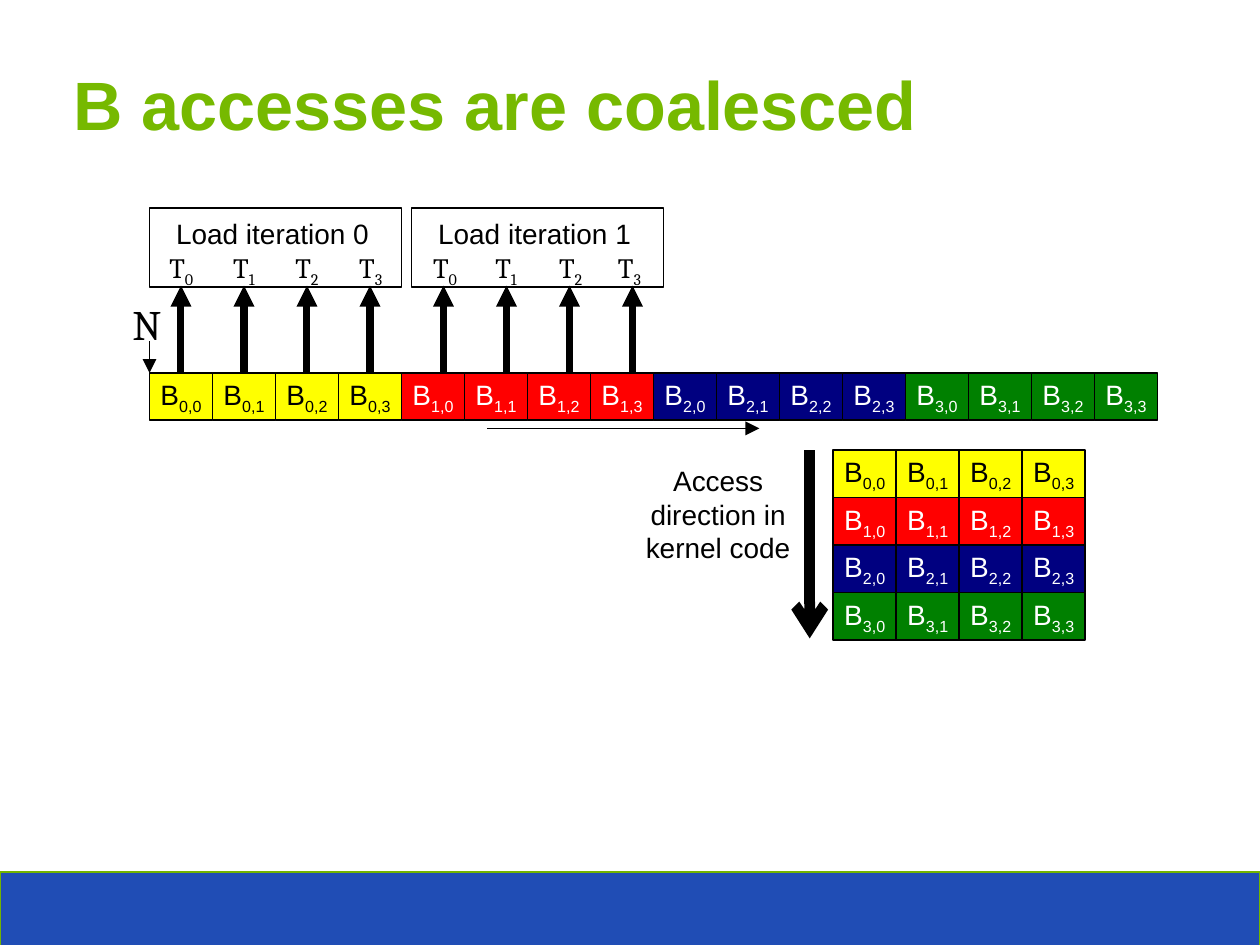
from dataclasses import dataclass

from lxml.etree import SubElement
from pptx import Presentation
from pptx.dml.color import RGBColor as RGB
from pptx.enum.shapes import MSO_CONNECTOR as LINE, MSO_SHAPE as SHAPE
from pptx.enum.text import MSO_ANCHOR as ANCHOR, PP_ALIGN as ALIGN
from pptx.oxml.ns import qn
from pptx.util import Inches, Pt


@dataclass(frozen=True)
class Theme:
    sans: str = "Arial"
    serif: str = "Cambria"
    title: float = 29.25
    mark: float = 18
    body: float = 12
    thin: float = 0.75
    thick: float = 3
    heavy: float = 4.5
    black: str = "000000"
    white: str = "FFFFFF"
    lime: str = "76B900"
    edge: str = "72B400"
    blue: str = "204DB5"
    rows: tuple = ("FFFF00", "FF0000", "000080", "008000")


theme = Theme()
wide = 7.5
deck = Presentation()
deck.slide_width, deck.slide_height = Inches(wide), Inches(wide * 3 / 4)
slide = deck.slides.add_slide(deck.slide_layouts[6])
shapes = slide.shapes


def write(frame, text, sub="", font=theme.sans, size=theme.body,
          color=theme.black, wrap=False, align=ALIGN.LEFT):
    """Fill a text frame with text and an optional subscript."""
    frame.word_wrap = wrap
    para = frame.paragraphs[0]
    para.alignment = align
    para.font.name, para.font.size = font, Pt(size)
    para.font.color.rgb = RGB.from_string(color)
    para.add_run().text = text
    if sub:
        run = para.add_run()
        run.text = sub
        run._r.get_or_add_rPr().set("baseline", "-25000")
    return para


def stroke(shape, width, color=theme.black, head=""):
    """Set a line's look, with an arrowhead at its end if one is named."""
    shape.line.color.rgb = RGB.from_string(color)
    shape.line.width = Pt(width)
    if head:
        SubElement(shape.line._get_or_add_ln(), qn("a:tailEnd"), type=head)
        SubElement(shape._element.spPr, qn("a:effectLst"))
    else:
        shape.shadow.inherit = False


# Footer and title
bar = shapes.add_shape(SHAPE.RECTANGLE, 0, Inches(5.19), Inches(wide), Inches(0.44))
bar.fill.solid()
bar.fill.fore_color.rgb = RGB.from_string(theme.blue)
stroke(bar, theme.thin, theme.edge)

title = shapes.add_textbox(Inches(0.34), Inches(0.32), Inches(6.82), Inches(0.48))
write(title.text_frame, "B accesses are coalesced", size=theme.title,
      color=theme.lime, wrap=True).font.bold = True

# Matrix B: laid out in memory as one row, and as a square
size, cell_w, cell_h = 4, 1.5 / 4, 1.13 / 4
row_x, row_y = 0.89, 2.22
grid_x, grid_y = 4.96, 2.68
memory = []
for r, fill in enumerate(theme.rows):
    for c in range(size):
        spots = ((row_x + (r * size + c) * cell_w, row_y),
                 (grid_x + c * cell_w, grid_y + r * cell_h))
        for x, y in spots:
            cell = shapes.add_shape(SHAPE.RECTANGLE, Inches(x), Inches(y),
                                    Inches(cell_w), Inches(cell_h))
            cell.fill.solid()
            cell.fill.fore_color.rgb = RGB.from_string(fill)
            stroke(cell, theme.thin)
            frame = cell.text_frame
            frame.vertical_anchor = ANCHOR.MIDDLE
            write(frame, "B", f"{r},{c}", align=ALIGN.CENTER,
                  color=theme.white if r else theme.black)
            if y == row_y:
                memory.append(cell)

# Load iterations: box left, first arrow, thread labels
loads = (
    (0.89, row_x + cell_w / 2, (0.91, 1.29, 1.66, 2.04)),
    (2.45, 2.64, (2.48, 2.85, 3.23, 3.58)),
)
for n, (left, first, tags) in enumerate(loads):
    box = shapes.add_shape(SHAPE.RECTANGLE, Inches(left), Inches(1.24),
                           Inches(1.5), Inches(0.47))
    box.fill.background()
    stroke(box, theme.thin)
    name = shapes.add_textbox(Inches(left + 0.06), Inches(1.24),
                              Inches(1.36), Inches(0.3))
    write(name.text_frame, f"Load iteration {n}")
    for t, tag_x in enumerate(tags):
        tag = shapes.add_textbox(Inches(tag_x), Inches(1.44),
                                 Inches(0.36), Inches(0.3))
        write(tag.text_frame, "T", str(t), font=theme.serif)
        x = Inches(first + t * cell_w)
        arrow = shapes.add_connector(LINE.STRAIGHT, x, Inches(row_y), x, Inches(1.7))
        stroke(arrow, theme.thick, head="triangle")
        if n == 0:
            arrow.begin_connect(memory[t], 0)

# Pointer N and access directions
mark = shapes.add_textbox(Inches(0.69), Inches(1.73), Inches(0.38), Inches(0.4))
write(mark.text_frame, "N", font=theme.serif, size=theme.mark)
note = shapes.add_textbox(Inches(3.65), Inches(2.71), Inches(1.25), Inches(0.71))
write(note.text_frame, "Access direction in kernel code", wrap=True,
      align=ALIGN.CENTER)

arrows = (
    (0.89, 2.03, 0.89, 2.22, theme.thin, "triangle"),
    (2.9, 2.55, 4.52, 2.55, theme.thin, "triangle"),
    (4.82, 2.68, 4.82, 3.8, theme.heavy, "arrow"),
)
for *ends, width, head in arrows:
    arrow = shapes.add_connector(LINE.STRAIGHT, *map(Inches, ends))
    stroke(arrow, width, head=head)

deck.save("out.pptx")
